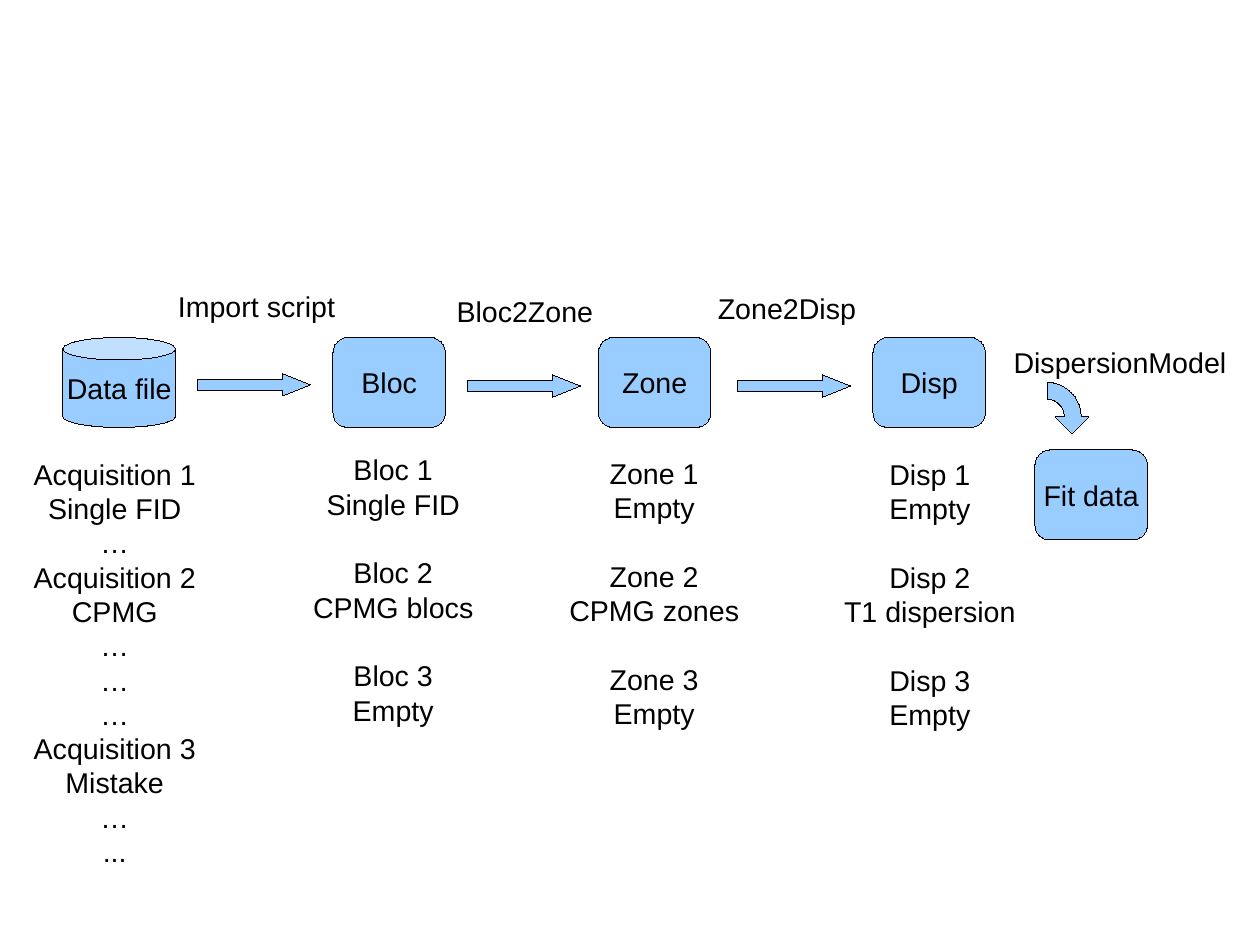
import dataclasses
import math

import pptx
import pptx.dml.color
import pptx.enum.shapes
import pptx.enum.text
import pptx.oxml.ns
import pptx.shapes.base
import pptx.slide
import pptx.util

PX = 9000  # EMU in one px, 40 px to the centimetre
BLACK = pptx.dml.color.RGBColor(0x00, 0x00, 0x00)
SKY = pptx.dml.color.RGBColor(0x99, 0xCC, 0xFF)
FONT = "Arial"
TEXT_SIZE = pptx.util.Pt(18)
GROUP_GAP = pptx.util.Pt(21.7)

NODE_W, NODE_H = 100, 80
ARROW_W, ARROW_H = 100, 20
LABEL_H = 39

SHAPES = pptx.enum.shapes.MSO_SHAPE
ANCHOR = pptx.enum.text.MSO_ANCHOR


@dataclasses.dataclass(frozen=True)
class Node:
    x: int
    y: int
    name: str
    kind: SHAPES = SHAPES.FLOWCHART_ALTERNATE_PROCESS


@dataclasses.dataclass(frozen=True)
class Arrow:
    x: int
    y: int


@dataclasses.dataclass(frozen=True)
class Caption:
    """Centred text; a blank line's gap parts the groups of lines."""
    x: int
    y: int
    w: int
    h: int
    groups: list[list[str]]


NODES = [
    Node(56, 300, "Data file", SHAPES.CAN),
    Node(296, 300, "Bloc"),
    Node(532, 300, "Zone"),
    Node(776, 300, "Disp"),
    Node(920, 400, "Fit data"),
]
ARROWS = [Arrow(176, 332), Arrow(416, 333), Arrow(656, 333)]
CAPTIONS = [
    Caption(147, 252, 162, LABEL_H, [["Import script"]]),
    Caption(395, 256, 143, LABEL_H, [["Bloc2Zone"]]),
    Caption(627, 254, 145, LABEL_H, [["Zone2Disp"]]),
    Caption(890, 302, 211, LABEL_H, [["DispersionModel"]]),
    Caption(19, 401, 166, 352, [[
        "Acquisition 1", "Single FID", "…",
        "Acquisition 2", "CPMG", "…", "…", "…",
        "Acquisition 3", "Mistake", "…", "...",
    ]]),
    Caption(267, 397, 165, 238, [
        ["Bloc 1", "Single FID"], ["Bloc 2", "CPMG blocs"], ["Bloc 3", "Empty"]]),
    Caption(495, 400, 173, 238, [
        ["Zone 1", "Empty"], ["Zone 2", "CPMG zones"], ["Zone 3", "Empty"]]),
    Caption(739, 401, 175, 238, [
        ["Disp 1", "Empty"], ["Disp 2", "T1 dispersion"], ["Disp 3", "Empty"]]),
]


def px(*lengths: int) -> list[int]:
    return [n * PX for n in lengths]


def paint(sp: pptx.shapes.base.BaseShape) -> None:
    """Sky fill and a black hairline, whose zero width must be written out."""
    sp.shadow.inherit = False
    sp.fill.solid()
    sp.fill.fore_color.rgb = SKY
    sp.line.color.rgb = BLACK
    sp.element.spPr.find(pptx.oxml.ns.qn("a:ln")).set("w", "0")


def write(sp: pptx.shapes.base.BaseShape, groups: list[list[str]], anchor: ANCHOR) -> None:
    tf = sp.text_frame
    tf.word_wrap = False
    tf.vertical_anchor = anchor
    lines = [(line, g > 0 and i == 0)
             for g, group in enumerate(groups) for i, line in enumerate(group)]
    for n, (line, starts_group) in enumerate(lines):
        p = tf.add_paragraph() if n else tf.paragraphs[0]
        p.alignment = pptx.enum.text.PP_ALIGN.CENTER
        if starts_group:
            p.space_before = GROUP_GAP
        r = p.add_run()
        r.text = line
        r.font.name = FONT
        r.font.size = TEXT_SIZE
        r.font.color.rgb = BLACK


def add_node(s: pptx.slide.Slide, node: Node) -> None:
    sp = s.shapes.add_shape(node.kind, *px(node.x, node.y, NODE_W, NODE_H))
    paint(sp)
    write(sp, [[node.name]], ANCHOR.MIDDLE)


def add_arrow(s: pptx.slide.Slide, arrow: Arrow) -> None:
    sp = s.shapes.add_shape(SHAPES.RIGHT_ARROW, *px(arrow.x, arrow.y, ARROW_W, ARROW_H))
    sp.adjustments[0] = 0.5
    sp.adjustments[1] = 1.25
    paint(sp)


def add_caption(s: pptx.slide.Slide, caption: Caption) -> None:
    sp = s.shapes.add_textbox(*px(caption.x, caption.y, caption.w, caption.h))
    write(sp, caption.groups, ANCHOR.TOP)
    sp.text_frame.auto_size = pptx.enum.text.MSO_AUTO_SIZE.SHAPE_TO_FIT_TEXT


def add_bent_arrow(s: pptx.slide.Slide) -> None:
    """Quarter ring that turns from rightwards to downwards, with a head."""
    cx, cy, inner, outer = px(931, 370, 15, 30)

    def arc(radius: int) -> list[tuple[float, float]]:
        """Points from the top of the circle to its right side."""
        angles = [math.radians(a) for a in range(0, 91, 5)]
        return [(cx + radius * math.sin(a), cy - radius * math.cos(a)) for a in angles]

    head_right, tip_x, tip_y, head_left = px(968, 953, 385, 938)
    head = [(head_right, cy), (tip_x, tip_y), (head_left, cy)]
    start, *rest = arc(inner)[::-1] + arc(outer) + head
    builder = s.shapes.build_freeform(*start)
    builder.add_line_segments(rest, close=True)
    paint(builder.convert_to_shape())


def main() -> None:
    prs = pptx.Presentation()
    prs.slide_width, prs.slide_height = px(1120, 840)
    s = prs.slides.add_slide(prs.slide_layouts[6])
    for node in NODES:
        add_node(s, node)
    for arrow in ARROWS:
        add_arrow(s, arrow)
    add_bent_arrow(s)
    for caption in CAPTIONS:
        add_caption(s, caption)
    prs.save("out.pptx")


if __name__ == "__main__":
    main()
